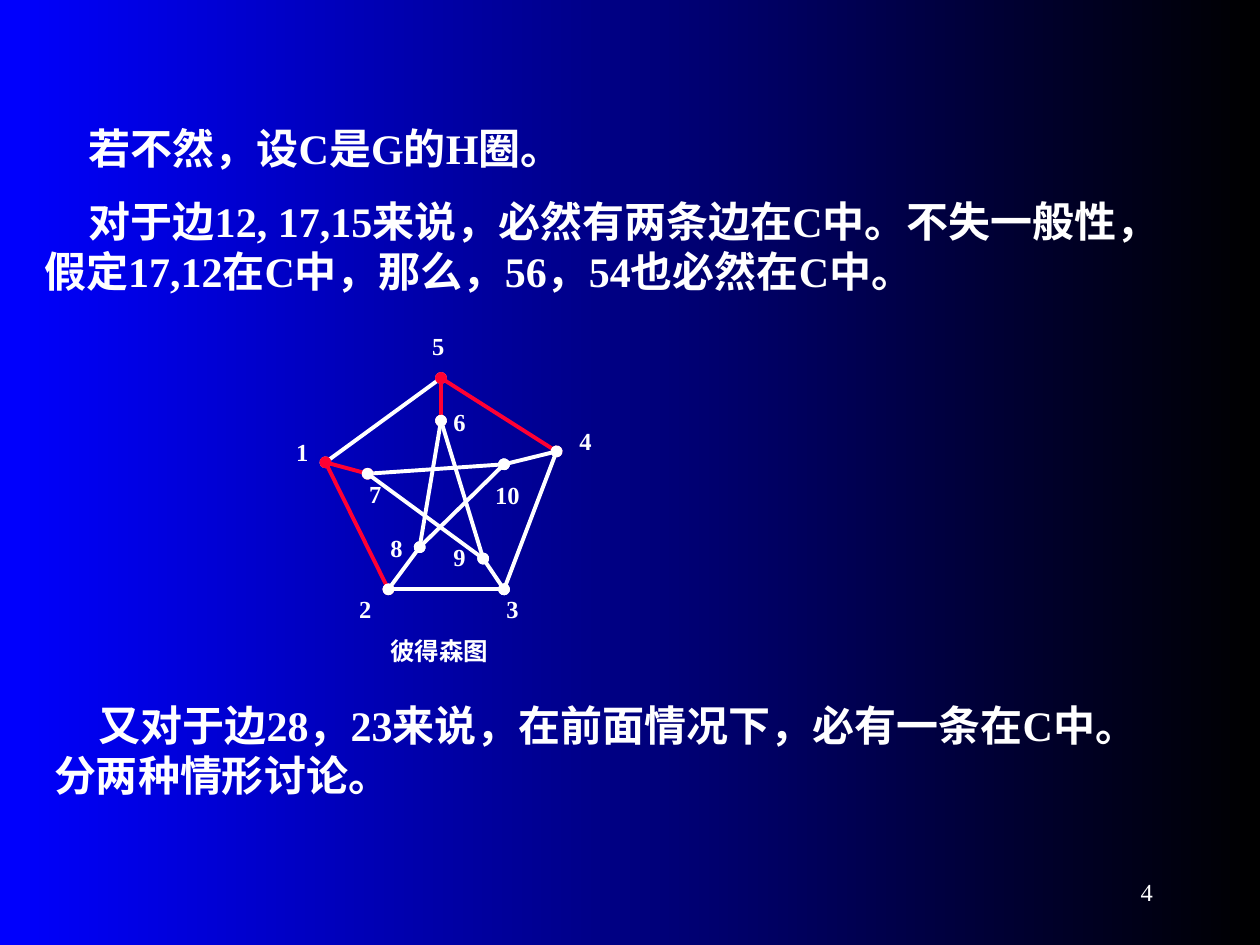
from dataclasses import dataclass
from typing import Any

from lxml import etree
from pptx import Presentation
from pptx import util as u
from pptx.dml import color
from pptx.enum import shapes, text
from pptx.oxml import ns

WHITE, RED, BLUE, BLACK = "FFFFFF", "FF0033", "0000FF", "000000"

VERTICES = {
    1: (6.56, 9.32), 2: (7.83, 11.88), 3: (10.16, 11.88), 4: (11.22, 9.1),
    5: (8.89, 7.62), 6: (8.89, 8.48), 7: (7.41, 9.55), 8: (8.46, 11.03),
    9: (9.74, 11.26), 10: (10.16, 9.36),
}
LABELS = {
    1: (5.72, 8.69), 2: (6.99, 11.86), 3: (9.96, 11.86), 4: (11.43, 8.46),
    5: (8.46, 6.55), 6: (8.89, 8.08), 7: (7.19, 9.53), 8: (7.62, 10.62),
    9: (8.89, 10.8), 10: (9.73, 9.55),
}
EDGES = [(7, 10), (5, 1), (5, 4), (1, 2), (4, 3), (2, 3), (5, 6), (1, 7),
         (10, 4), (9, 3), (8, 2), (6, 8), (6, 9), (7, 9), (10, 8)]
CYCLE_EDGES = {(5, 4), (1, 2), (5, 6), (1, 7)}
STATEMENTS = [
    (0.64, 2.34, 21.39, 1.45, "若不然，设C是G的H圈。"),
    (0.64, 3.81, 22.66, 2.46, "对于边12, 17,15来说，必然有两条边在C中。不失一般性，"
     "假定17,12在C中，那么，56，54也必然在C中。"),
    (0.84, 13.97, 22.43, 2.46, "又对于边28，23来说，在前面情况下，必有一条在C中。"
     "分两种情形讨论。"),
]


def rgb(value):
    return color.RGBColor.from_string(value)


@dataclass
class Painter:
    """Holds the slide style and draws each kind of element on the page."""
    page: Any
    font: str = "Times New Roman"
    ink: str = WHITE
    stroke: float = 2.25

    def background(self, start, end):
        fill = self.page.background.fill
        fill.gradient()
        fill.gradient_angle = 0
        for stop, value in zip(fill.gradient_stops, (start, end)):
            stop.color.rgb = rgb(value)

    def label(self, left, top, width, height, words, size=14, bold=True, indent=0):
        box = self.page.shapes.add_textbox(*map(u.Cm, (left, top, width, height)))
        frame = box.text_frame
        frame.word_wrap = True
        frame.text = words
        para = frame.paragraphs[0]
        if indent:
            para._p.get_or_add_pPr().set("indent", str(u.Cm(indent)))
        for span in para.runs:
            span.font.name = self.font
            span.font.size = u.Pt(size)
            span.font.bold = bold
            span.font.color.rgb = rgb(self.ink)
        return box

    def edge(self, start, end, value):
        line = self.page.shapes.add_connector(
            shapes.MSO_CONNECTOR.STRAIGHT, *map(u.Cm, start + end))
        line.line.color.rgb = rgb(value)
        line.line.width = u.Pt(self.stroke)
        properties = line._element.spPr
        outline = properties.find(ns.qn("a:ln"))
        for tag in ("a:headEnd", "a:tailEnd"):
            etree.SubElement(outline, ns.qn(tag), type="oval")
        etree.SubElement(properties, ns.qn("a:effectLst"))


def main():
    deck = Presentation()
    deck.slide_width, deck.slide_height = u.Cm(25.4), u.Cm(19.05)
    painter = Painter(deck.slides.add_slide(deck.slide_layouts[6]))
    painter.background(BLUE, BLACK)

    for *place, words in STATEMENTS:
        painter.label(*place, words, size=24, indent=0.9)
    for start, end in EDGES:
        value = RED if (start, end) in CYCLE_EDGES else WHITE
        painter.edge(VERTICES[start], VERTICES[end], value)
    for number, place in LABELS.items():
        painter.label(*place, 1.27 if number > 9 else 0.89, 0.86, str(number))
    painter.label(7.62, 12.7, 3.18, 0.86, "彼得森图")

    footer = painter.label(18.21, 17.35, 5.28, 1.27, "4", bold=False)
    footer.text_frame.vertical_anchor = text.MSO_ANCHOR.MIDDLE
    footer.text_frame.paragraphs[0].alignment = text.PP_ALIGN.RIGHT
    deck.save("out.pptx")


if __name__ == "__main__":
    main()
